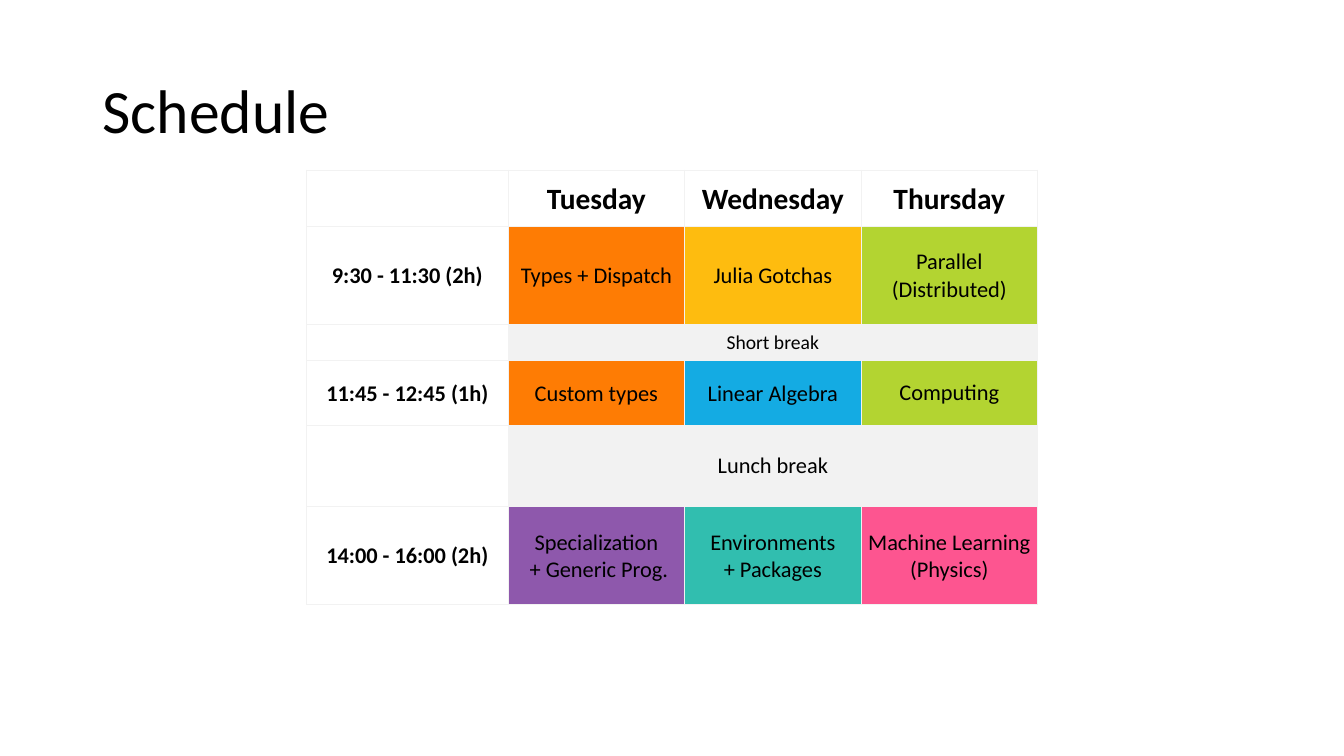
import pptx
import pptx.dml.color
import pptx.enum.text
import pptx.oxml
import pptx.oxml.ns
import pptx.util

Inches = pptx.util.Inches
FONT = "Calibri"
BLACK = "000000"
WHITE = "FFFFFF"
GREY = "F2F2F2"
ORANGE = "FE7C04"
YELLOW = "FEBC0F"
GREEN = "B3D431"
BLUE = "14ABE3"
PURPLE = "8E58AC"
TEAL = "31BEAF"
PINK = "FD5590"

TIGHT = (0.01, 0.01, 0.01, 0)
ROOMY = (0.12, 0.06, 0.12, 0.06)
COLUMN_WIDTHS = [2, 1.75, 1.75, 1.75]
DAYS = ["Tuesday", "Wednesday", "Thursday"]
SESSIONS = [
    (0.97, "9:30 - 11:30 (2h)", [
        ("Types + Dispatch", ORANGE, TIGHT),
        ("Julia Gotchas", YELLOW, TIGHT),
        ("Parallel (Distributed)", GREEN, ROOMY)]),
    (0.64, "11:45 - 12:45 (1h)", [
        ("Custom types", ORANGE, TIGHT),
        ("Linear Algebra", BLUE, TIGHT),
        ("Computing", GREEN, ROOMY)]),
    (0.97, "14:00 - 16:00 (2h)", [
        ("Specialization\n + Generic Prog.", PURPLE, TIGHT),
        ("Environments\n+ Packages", TEAL, TIGHT),
        ("Machine Learning (Physics)", PINK, TIGHT)]),
]
BREAKS = [(0.36, "Short break", 14), (0.81, "Lunch break", 16)]


def color(value):
    return pptx.dml.color.RGBColor.from_string(value)


def style_font(para, size, bold=False):
    para.font.name = FONT
    para.font.size = pptx.util.Pt(size)
    para.font.bold = bold
    para.font.color.rgb = color(BLACK)


def add_borders(cell):
    properties = cell._tc.get_or_add_tcPr()
    for side in ("lnL", "lnR", "lnT", "lnB"):
        properties.append(pptx.oxml.parse_xml(
            f'<a:{side} {pptx.oxml.ns.nsdecls("a")} w="{pptx.util.Pt(0.75)}">'
            f'<a:solidFill><a:srgbClr val="{GREY}"/></a:solidFill></a:{side}>'))


def fill_cell(cell, text, size, fill=None, bold=False, insets=TIGHT):
    if fill:
        cell.fill.solid()
        cell.fill.fore_color.rgb = color(fill)
    cell.vertical_anchor = pptx.enum.text.MSO_ANCHOR.MIDDLE
    (cell.margin_left, cell.margin_top,
     cell.margin_right, cell.margin_bottom) = map(Inches, insets)
    para = cell.text_frame.paragraphs[0]
    para.alignment = pptx.enum.text.PP_ALIGN.CENTER
    style_font(para, size, bold)
    for index, line in enumerate(text.split("\n")):
        if index:
            para.add_line_break()
        if line:
            para.add_run().text = line


def add_title(page, left, top, width, height):
    box = page.shapes.add_textbox(*map(Inches, (left, top, width, height)))
    frame = box.text_frame
    frame.word_wrap = True
    frame.vertical_anchor = pptx.enum.text.MSO_ANCHOR.MIDDLE
    para = frame.paragraphs[0]
    para.text = "Schedule"
    para.line_spacing = 0.9
    style_font(para, 44)


def add_schedule(page, left, top, width, height):
    row_count = 1 + len(SESSIONS) + len(BREAKS)
    frame = page.shapes.add_table(
        row_count, len(COLUMN_WIDTHS), *map(Inches, (left, top, width, height)))
    table = frame.table
    table.first_row = False
    table.horz_banding = False
    for column, column_width in zip(table.columns, COLUMN_WIDTHS):
        column.width = Inches(column_width)
    for cell in table.iter_cells():
        add_borders(cell)
        cell.fill.background()

    table.rows[0].height = Inches(0.56)
    fill_cell(table.cell(0, 0), "", 14)
    for column, day in enumerate(DAYS, 1):
        fill_cell(table.cell(0, column), day, 21, WHITE, bold=True)

    for index, (row_height, time, topics) in enumerate(SESSIONS):
        row = 1 + 2 * index
        table.rows[row].height = Inches(row_height)
        fill_cell(table.cell(row, 0), time, 16, bold=True)
        for column, (topic, fill, insets) in enumerate(topics, 1):
            fill_cell(table.cell(row, column), topic, 16, fill, insets=insets)

    for index, (row_height, label, size) in enumerate(BREAKS):
        row = 2 + 2 * index
        table.rows[row].height = Inches(row_height)
        fill_cell(table.cell(row, 0), "", 14)
        table.cell(row, 1).merge(table.cell(row, len(DAYS)))
        fill_cell(table.cell(row, 1), label, size, GREY, insets=ROOMY)


def main():
    deck = pptx.Presentation()
    deck.slide_width = Inches(13.33)
    deck.slide_height = Inches(7.5)
    page = deck.slides.add_slide(deck.slide_layouts[6])
    add_title(page, 0.92, 0.4, 11.5, 1.45)
    add_schedule(page, 3.04, 1.69, 7.25, 4.31)
    deck.save("out.pptx")


if __name__ == "__main__":
    main()
